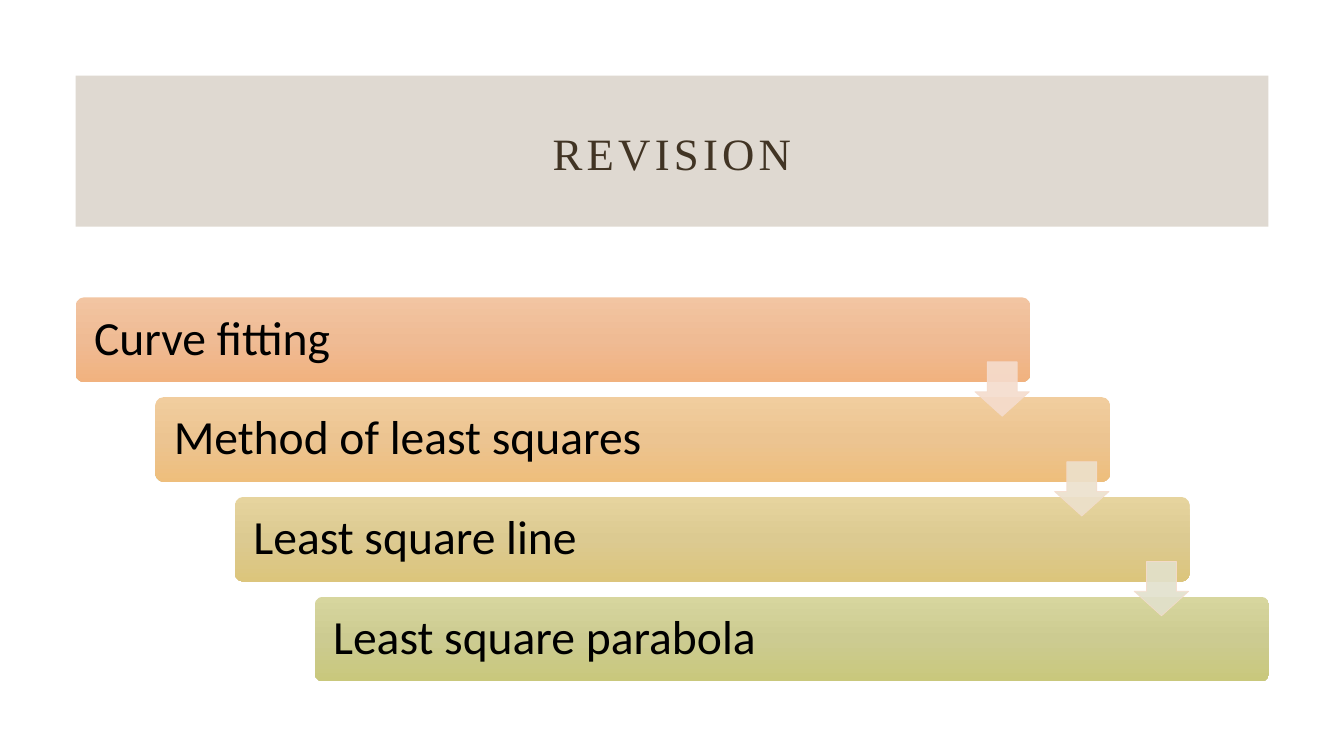
from copy import deepcopy

from lxml.etree import SubElement
from pptx import Presentation
from pptx.dml.color import RGBColor
from pptx.enum.shapes import MSO_SHAPE as Preset
from pptx.enum.text import MSO_ANCHOR as Anchor, PP_ALIGN as Align
from pptx.oxml.ns import qn
from pptx.util import Inches, Pt

TITLE = "REVISION"
# Topic, gradient from top to bottom, colour of the arrow to the next topic
STEPS = [
    ("Curve fitting", ("F2C5A2", "EFBB94", "F1B27F"), "F5DCCD"),
    ("Method of least squares", ("F1CD9E", "ECC491", "EEBE7C"), "ECE1CC"),
    ("Least square line", ("E6D49E", "DCCA91", "DCC57C"), "E2E1CC"),
    ("Least square parabola", ("D7D69E", "CCCB91", "C9C87C"), None),
]
COLORS = {"band": "836948", "title": "413424", "text": "000000", "arrow_line": "F5DCCD"}

LEFT, TOP = 0.75, 2.95
STEP_X, STEP_Y = 0.79, 0.99
BAR_WIDTH, BAR_HEIGHT = 9.47, 0.84
ARROW_SIZE, ARROW_X, ARROW_Y = 0.54, 8.92, 0.64


def rgb(value):
    """Turn a hex string into a colour."""
    return RGBColor.from_string(value)


def set_solid(fill, color, percent):
    """Fill with one colour at the given opacity."""
    fill.solid()
    fill.fore_color.rgb = rgb(color)


def set_opacity(shape, percent):
    """Make every solid colour of a shape, line included, partly transparent."""
    for color in shape._element.spPr.iter(qn("a:srgbClr")):
        SubElement(color, qn("a:alpha"), val=str(percent * 1000))


def add_plain_shape(page, preset, left, top, width, height):
    """Add a preset shape without shadow or outline."""
    shape = page.shapes.add_shape(
        preset, Inches(left), Inches(top), Inches(width), Inches(height))
    shape.shadow.inherit = False
    shape.line.fill.background()
    return shape


def set_gradient(shape, colors):
    """Fill with three evenly spaced colours running downwards."""
    shape.fill.gradient()
    shape.fill.gradient_angle = 270
    stop_list = shape._element.spPr.find(f".//{qn('a:gsLst')}")
    stop_list.insert(1, deepcopy(stop_list[0]))
    for index, (stop, color) in enumerate(zip(shape.fill.gradient_stops, colors)):
        stop.position = index / 2
        stop.color.rgb = rgb(color)


def style_text(shape, text, font_name, size, color, align):
    """Write one vertically centred paragraph into a shape."""
    frame = shape.text_frame
    frame.text = text
    frame.word_wrap = True
    frame.vertical_anchor = Anchor.MIDDLE
    para = frame.paragraphs[0]
    para.alignment = align
    para.line_spacing = 0.9
    para.font.name, para.font.size = font_name, Pt(size)
    para.font.color.rgb = rgb(color)
    return para


def add_title(page):
    """Place the title over its tinted band."""
    title = page.shapes.title
    title.left, title.top = Inches(1.53), Inches(1.04)
    title.width, title.height = Inches(10.27), Inches(1.02)
    para = style_text(title, TITLE, "Times New Roman", 32, COLORS["title"], Align.CENTER)
    para.runs[0].font._element.set("spc", "300")
    band = add_plain_shape(page, Preset.RECTANGLE, 0.75, 0.75, 11.83, 1.5)
    band.fill.solid()
    band.fill.fore_color.rgb = rgb(COLORS["band"])
    set_opacity(band, 25)
    title._element.addprevious(band._element)


def add_bar(page, left, top, topic, colors):
    """Add one rounded bar with its topic."""
    bar = add_plain_shape(page, Preset.ROUNDED_RECTANGLE, left, top, BAR_WIDTH, BAR_HEIGHT)
    bar.adjustments[0] = 0.1
    set_gradient(bar, colors)
    frame = bar.text_frame
    frame.margin_left = frame.margin_right = Inches(0.16)
    style_text(bar, topic, "Calibri", 34, COLORS["text"], Align.LEFT)


def add_arrow(page, left, top, color):
    """Add the arrow that leads from one bar to the next."""
    arrow = add_plain_shape(page, Preset.DOWN_ARROW, left, top, ARROW_SIZE, ARROW_SIZE)
    arrow.adjustments[0], arrow.adjustments[1] = 0.55, 0.45
    arrow.fill.solid()
    arrow.fill.fore_color.rgb = rgb(color)
    arrow.line.color.rgb = rgb(COLORS["arrow_line"])
    arrow.line.width = Pt(0.5)
    set_opacity(arrow, 90)


deck = Presentation()
deck.slide_width, deck.slide_height = Inches(13.33), Inches(7.5)
page = deck.slides.add_slide(deck.slide_layouts.get_by_name("Title Only"))
add_title(page)

corners = [(LEFT + i * STEP_X, TOP + i * STEP_Y) for i in range(len(STEPS))]
for (left, top), (topic, colors, _) in zip(corners, STEPS):
    add_bar(page, left, top, topic, colors)
for (left, top), (_, _, arrow_color) in zip(corners, STEPS):
    if arrow_color:
        add_arrow(page, left + ARROW_X, top + ARROW_Y, arrow_color)

deck.save("out.pptx")
